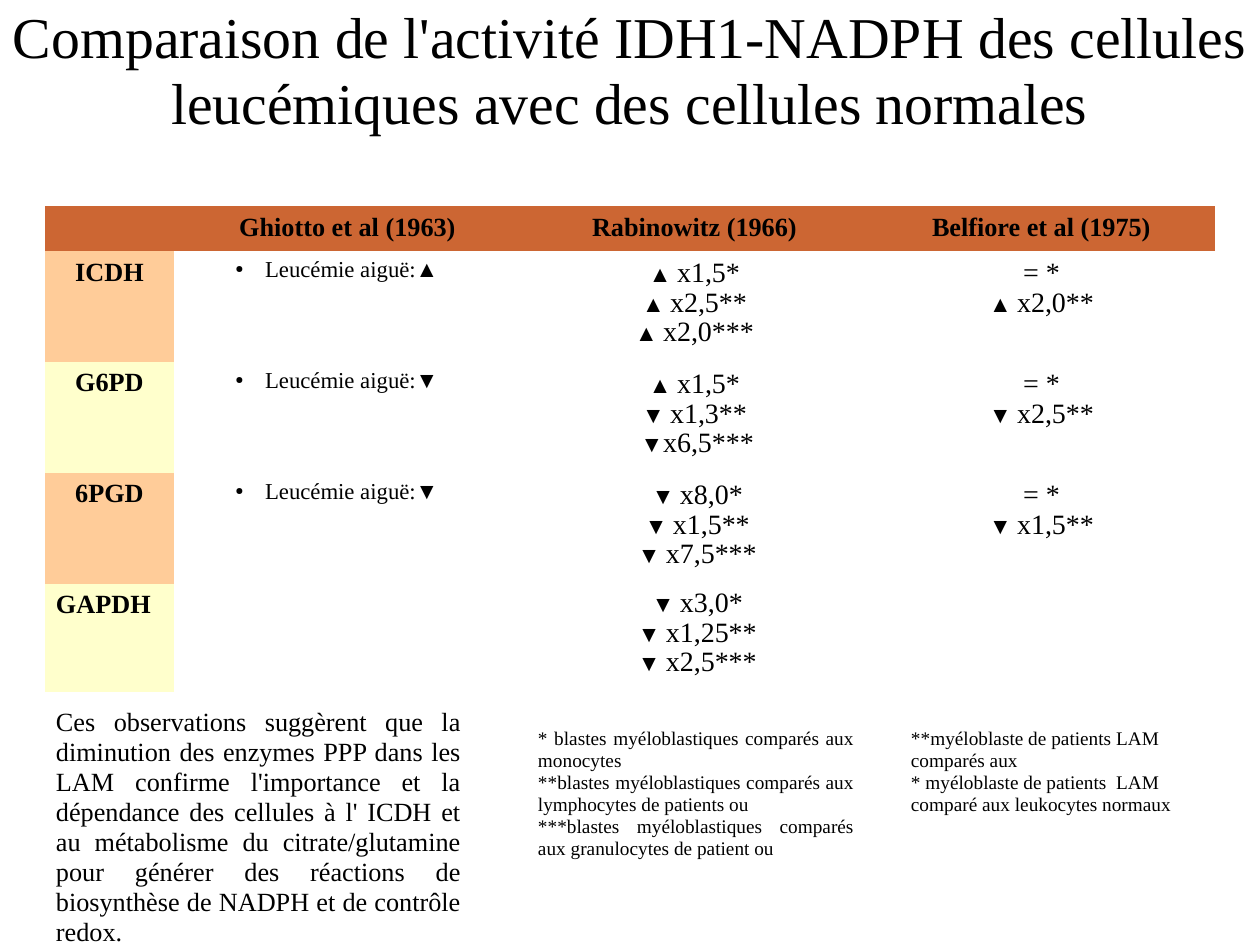
from pptx import Presentation
from pptx.dml.color import RGBColor
from pptx.enum.text import MSO_ANCHOR as Anchor, MSO_AUTO_SIZE as AutoSize, PP_ALIGN as Align
from pptx.oxml.ns import qn
from pptx.util import Pt
from lxml.etree import SubElement

PX = 914400 / 126
BLACK = RGBColor(0, 0, 0)
WHITE = RGBColor(255, 255, 255)
RUST = RGBColor(0xCC, 0x66, 0x33)
ORANGE = RGBColor(0xFF, 0xCC, 0x99)
YELLOW = RGBColor(0xFF, 0xFF, 0xCC)


def px(length):
    return round(length * PX)


def write(frame, text, size=16, bold=False, align=Align.CENTER, mark_size=None, bullet=None):
    """Write one paragraph per line; mark_size applies to the arrow before the factor."""
    for index, line in enumerate(text.split("\n")):
        para = frame.paragraphs[0] if index == 0 else frame.add_paragraph()
        para.alignment = align
        para.line_spacing = 0.95
        para.space_before = para.space_after = Pt(0)
        if bullet:
            properties = para._p.get_or_add_pPr()
            SubElement(properties, qn("a:buSzPct"), val="45000")
            SubElement(properties, qn("a:buChar"), char=bullet)
        mark, factor, rest = line.partition("x") if mark_size else ("", "", line)
        spans = [(mark, mark_size), (factor + rest, size)] if factor else [(line, size)]
        for words, points in spans:
            span = para.add_run()
            span.text = words
            span.font.name = "Times New Roman"
            span.font.size = Pt(points)
            span.font.bold = bold
            span.font.color.rgb = BLACK


deck = Presentation()
deck.slide_width, deck.slide_height = px(1260), px(945)
page = deck.slides.add_slide(deck.slide_layouts[5])

# Title
title = page.shapes.title
title.left, title.top, title.width, title.height = 0, 0, px(1260), px(146)
frame = title.text_frame
frame.auto_size = AutoSize.NONE
frame.vertical_anchor = Anchor.MIDDLE
frame.margin_left = frame.margin_right = px(11)
frame.margin_top, frame.margin_bottom = px(3), px(6)
write(frame, "Comparaison de l'activité IDH1-NADPH des cellules leucémiques avec des cellules normales", size=33)

# Enzyme table
rows = [
    ["", "Ghiotto et al (1963)", "Rabinowitz (1966)", "Belfiore et al (1975)"],
    ["ICDH", "Leucémie aiguë:▲", "▲ x1,5*\n▲ x2,5**\n▲ x2,0***", "= *\n▲ x2,0**"],
    ["G6PD", "Leucémie aiguë:▼", "▲ x1,5*\n▼ x1,3**\n ▼x6,5***", "= *\n▼ x2,5**"],
    ["6PGD", "Leucémie aiguë:▼", " ▼ x8,0*\n ▼ x1,5**\n ▼ x7,5***", "= *\n▼ x1,5**"],
    ["GAPDH", "", " ▼ x3,0*\n ▼ x1,25**\n ▼ x2,5***", ""],
]
widths = [129, 347, 347, 347]
heights = [45, 111, 111, 111, 108]
table = page.shapes.add_table(5, 4, px(45), px(206), px(sum(widths)), px(sum(heights))).table
table.first_row = table.horz_banding = False
for column, width in zip(table.columns, widths):
    column.width = px(width)
for row, height in zip(table.rows, heights):
    row.height = px(height)

for r, texts in enumerate(rows):
    for c, text in enumerate(texts):
        cell = table.cell(r, c)
        last_factors = r == 4 and c == 2
        cell.margin_left = cell.margin_right = px(5 if last_factors else 11)
        cell.margin_top = px(5 if last_factors else 8) if text else 0
        cell.margin_bottom = px(5 if last_factors else 6) if text else 0

        # No visible rules between the cells
        for side in ("a:lnL", "a:lnR", "a:lnT", "a:lnB"):
            SubElement(SubElement(cell._tc.get_or_add_tcPr(), qn(side), w="0"), qn("a:noFill"))
        cell.fill.solid()
        if r == 0:
            cell.fill.fore_color.rgb = RUST
        elif c == 0:
            cell.fill.fore_color.rgb = ORANGE if r % 2 else YELLOW
        else:
            cell.fill.fore_color.rgb = WHITE

        if not text:
            continue
        if r == 0 or c == 0:
            write(cell.text_frame, text, size=15, bold=True,
                  align=Align.LEFT if text == "GAPDH" else Align.CENTER)
        elif c == 1:
            write(cell.text_frame, text, size=13, bullet="●")
        else:
            write(cell.text_frame, text, mark_size=13)

# Conclusion and footnotes
notes = [
    (45, 702, 427, 213, 15, Align.JUSTIFY,
     "Ces observations suggèrent que la diminution des enzymes PPP dans les LAM confirme "
     "l'importance et la dépendance des cellules à l' ICDH et au métabolisme du "
     "citrate/glutamine pour générer des réactions de biosynthèse de NADPH et de contrôle redox."),
    (527, 722, 338, 141, 11, Align.JUSTIFY,
     "* blastes myéloblastiques comparés aux monocytes\n"
     "**blastes myéloblastiques comparés aux lymphocytes de patients ou\n"
     "***blastes myéloblastiques comparés aux granulocytes de patient ou "),
    (900, 722, 315, 98, 11, Align.LEFT,
     "**myéloblaste de patients LAM comparés aux\n"
     "* myéloblaste de patients  LAM comparé aux leukocytes normaux"),
]
for left, top, width, height, size, align, text in notes:
    box = page.shapes.add_textbox(px(left), px(top), px(width), px(height))
    frame = box.text_frame
    frame.word_wrap = True
    frame.margin_left = frame.margin_right = px(11)
    frame.margin_top, frame.margin_bottom = px(6), px(5)
    write(frame, text, size=size, align=align)

deck.save("out.pptx")
